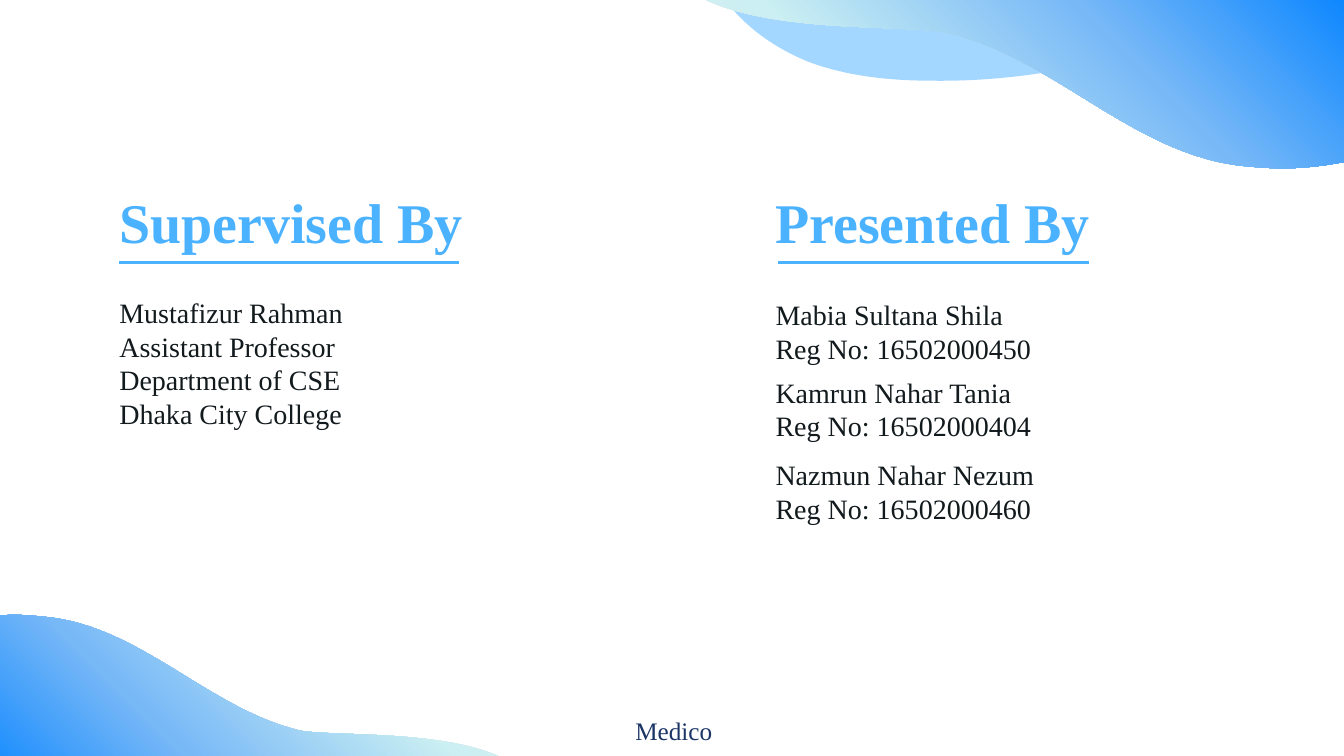
from math import cos, radians, sin

from lxml import etree
from pptx import Presentation
from pptx.dml.color import RGBColor
from pptx.enum.shapes import MSO_CONNECTOR
from pptx.enum.text import MSO_ANCHOR, PP_ALIGN
from pptx.oxml import parse_xml
from pptx.oxml.ns import qn
from pptx.util import Inches, Pt

LINE = MSO_CONNECTOR.STRAIGHT
MIDDLE = MSO_ANCHOR.MIDDLE
JUSTIFY, CENTER = PP_ALIGN.JUSTIFY, PP_ALIGN.CENTER
CELL = Inches(0.1)
COLS, ROWS = 133.33, 75
FONT = "Times New Roman"
SKY, INK, NAVY = "4BB2FF", "121A1D", "1C3567"
STOPS = ((0, "E5ECEF"), (28, "CBEFF2"), (66, "77B8F7"), (100, "0885FF"))
NS = 'xmlns:a="http://schemas.openxmlformats.org/drawingml/2006/main"'
LEFT, RIGHT, WIDTH = 10.5, 75.6, 56.2

LEAF = (((69.6, -5.4),),
        ((69.8, -4), (70.4, -2.7), (71, -1.5)),
        ((73, 2.1), (76.6, 4.7), (80.4, 6.2)),
        ((84.3, 7.6), (88.4, 8), (92.6, 8)),
        ((101.4, 8.1), (110.3, 6.4), (118.4, 3)),
        ((114.6, 2.8), (110.9, 2.6), (107.2, 2.1)),
        ((103.3, 1.5), (99.6, 0.5), (95.9, -0.8)),
        ((89.4, -3.2), (83.2, -6.4), (77.2, -9.9)),
        ((75.1, -11.1), (71.1, -14.7), (69.8, -10.9)),
        ((69.3, -9.2), (69.2, -7.3), (69.6, -5.4)))
CREST = (((134.2, -0.8),),
         ((134.2, 15.9),),
         ((131.9, 16.4), (129.5, 16.7), (127.1, 16.7)),
         ((126, 16.7), (124.8, 16.6), (123.7, 16.5)),
         ((112.4, 15.5), (104.6, 5.6), (93.7, 3.2)),
         ((89.1, 2.4), (75.1, 3.4), (68.6, -0.8)))
SWELL = (((-4.4, 75.9),),
         ((-4.4, 61.7),),
         ((-2.4, 61.2), (-0.4, 61), (1.6, 61)),
         ((2.6, 61), (3.5, 61.1), (4.5, 61.2)),
         ((14, 62.1), (20.7, 70.4), (29.9, 72.5)),
         ((33.8, 73.1), (45.7, 72.3), (51.1, 75.9)))


def cells(*counts):
    """Turn counts of grid cells into lengths."""
    return [round(count * CELL) for count in counts]


def color(code):
    """Make a colour from a hex string."""
    return RGBColor.from_string(code)


def unturn(spot, frame, turn):
    """Place a drawn spot inside its frame before the frame is turned."""
    left, top, width, height = frame
    x, y = spot[0] - left - width / 2, spot[1] - top - height / 2
    c, s = cos(radians(turn)), sin(radians(turn))
    return cells(x * c + y * s + width / 2, y * c - x * s + height / 2)


def wave(slide, frame, outline, turn=0):
    """Draw a closed outline of lines and cubic curves."""
    start, *ends = [cells(*part[-1]) for part in outline]
    pen = slide.shapes.build_freeform(*start)
    pen.add_line_segments(ends, close=True)
    shape = pen.convert_to_shape()
    shape.left, shape.top, shape.width, shape.height = cells(*frame)
    shape.rotation = turn
    shape.shadow.inherit = False
    shape.line.fill.background()
    route = shape.element.spPr.find(".//" + qn("a:path"))
    route.set("w", str(shape.width))
    route.set("h", str(shape.height))
    for step, part in zip(list(route), outline):
        tag = step.tag if len(part) == 1 else qn("a:cubicBezTo")
        fresh = etree.Element(tag)
        for spot in part:
            x, y = unturn(spot, frame, turn)
            etree.SubElement(fresh, qn("a:pt"), x=str(x), y=str(y))
        route.replace(step, parse_xml(etree.tostring(fresh)))
    return shape


def tint(shape, code, share):
    """Fill a shape with a see-through colour."""
    shape.fill.solid()
    shape.fill.fore_color.rgb = color(code)
    tone = shape.element.spPr.find(qn("a:solidFill"))[0]
    etree.SubElement(tone, qn("a:alpha")).set("val", str(share * 1000))


def fade(shape, angle=315):
    """Fill a shape with the blue gradient."""
    stops = "".join(f'<a:gs pos="{pos * 1000}"><a:srgbClr val="{code}"/></a:gs>'
                    for pos, code in STOPS)
    fill = parse_xml(f'<a:gradFill {NS} rotWithShape="1"><a:gsLst>{stops}</a:gsLst>'
                     f'<a:lin ang="{angle * 60000}" scaled="0"/></a:gradFill>')
    shape.element.spPr.find(qn("a:custGeom")).addnext(fill)


def text(slide, spot, lines, size, code, bold=False, align=JUSTIFY, inset=9.6):
    """Add a text box with one paragraph per line."""
    frame = slide.shapes.add_textbox(*cells(*spot)).text_frame
    frame.word_wrap = True
    frame.vertical_anchor = MIDDLE
    frame.margin_left = frame.margin_right = Pt(inset)
    frame.margin_top = frame.margin_bottom = Pt(inset)
    frame.text = "\n".join(lines)
    for para in frame.paragraphs:
        para.alignment = align
        para.font.name, para.font.size = FONT, Pt(size)
        para.font.bold = bold
        para.font.color.rgb = color(code)


def rule(slide, start, end, row=26.05):
    """Draw a level line under a heading."""
    line = slide.shapes.add_connector(LINE, *cells(start, row, end, row))
    line.line.color.rgb = color(SKY)
    line.line.width = Pt(2.25)
    etree.SubElement(line.element.spPr, qn("a:effectLst"))


def main():
    """Build the slide and save it."""
    deck = Presentation()
    deck.slide_width, deck.slide_height = cells(COLS, ROWS)
    slide = deck.slides.add_slide(deck.slide_layouts[6])

    tint(wave(slide, (79.3, -27.8, 28.2, 46.4), LEAF, 259), SKY, 51)
    fade(wave(slide, (68.6, -0.8, 65.6, 17.5), CREST))
    fade(wave(slide, (-4.4, 61, 55.6, 14.9), SWELL, 180))

    for col, head, start, end in ((LEFT, "Supervised By", 11.8, 45.5),
                                  (RIGHT, "Presented By", 77.2, 108.05)):
        text(slide, (col, 17.7, WIDTH, 8.4), [head], 40, SKY, bold=True)
        rule(slide, start, end)

    mentor = ("Mustafizur Rahman", "Assistant Professor",
              "Department of CSE", "Dhaka City College")
    text(slide, (LEFT, 28.74, WIDTH, 14.5), mentor, 20, INK)
    for row, name, number in ((28.74, "Mabia Sultana Shila", "16502000450"),
                              (36.45, "Kamrun Nahar Tania", "16502000404"),
                              (44.65, "Nazmun Nahar Nezum", "16502000460")):
        text(slide, (RIGHT, row, WIDTH, 8.2), (name, f"Reg No: {number}"), 20, INK)

    text(slide, (41.05, 70.5, 51.6, 4), ["Medico"], 18, NAVY, align=CENTER, inset=3.6)
    deck.save("out.pptx")


if __name__ == "__main__":
    main()
